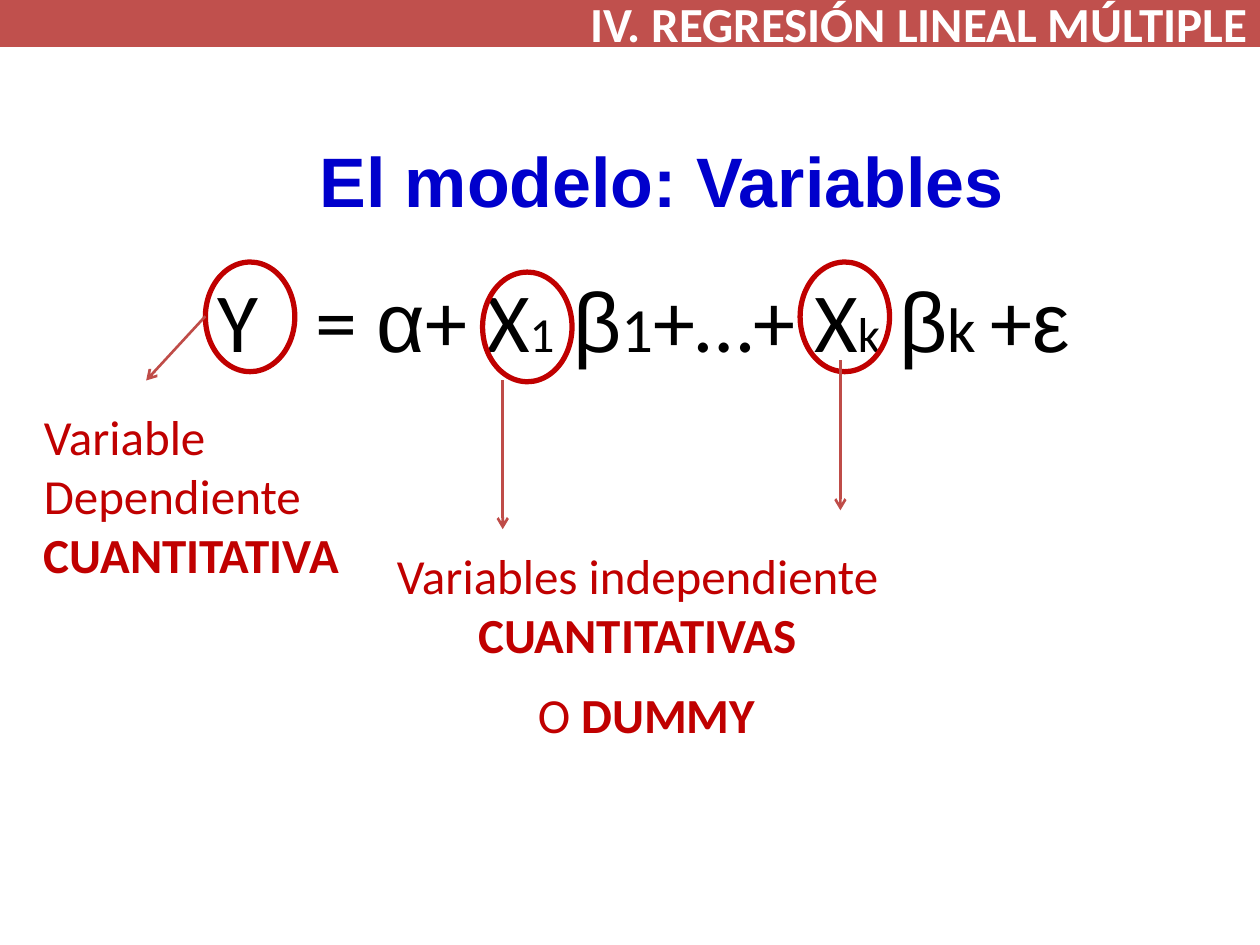
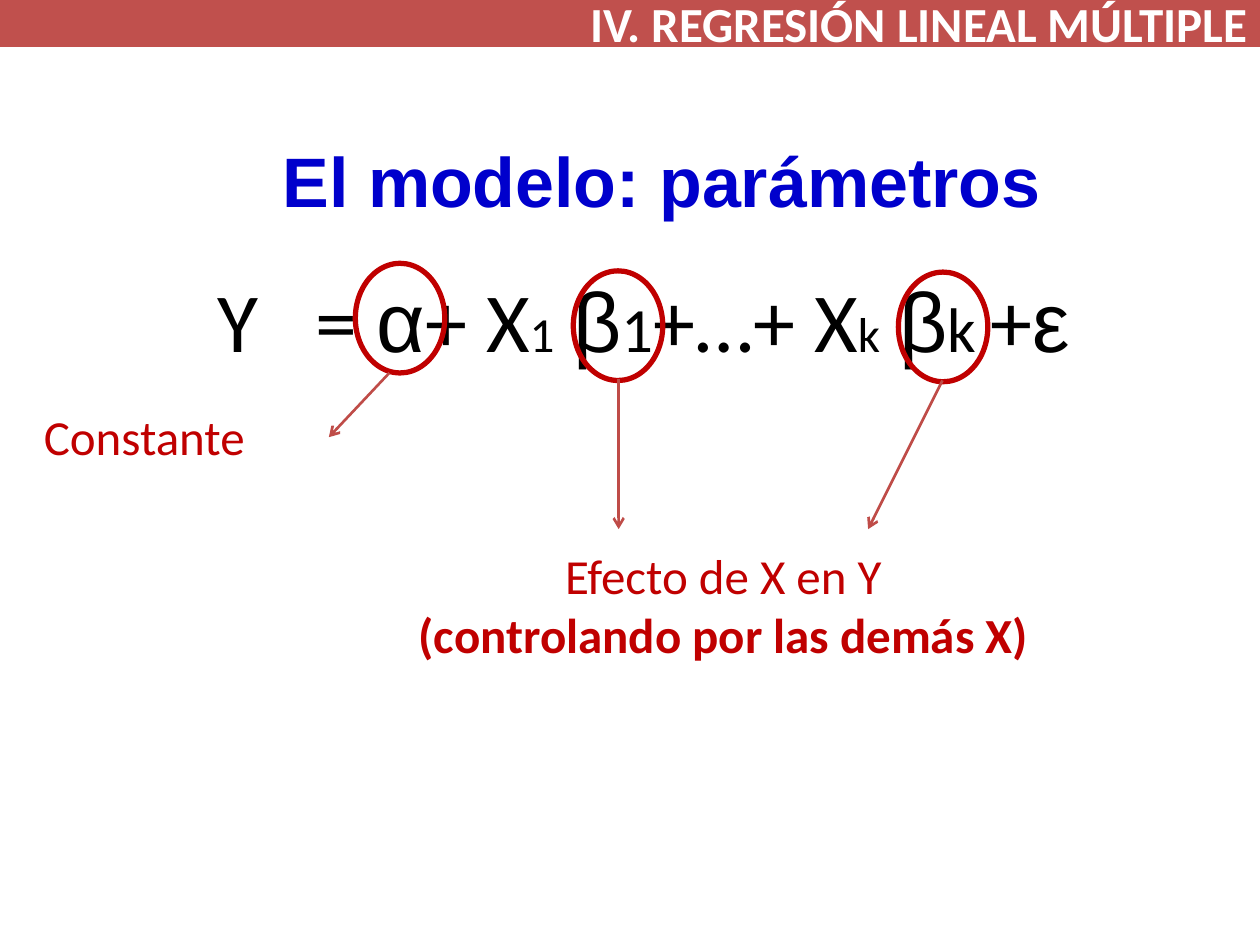
import pptx
import pptx.util
import pptx.dml.color
import pptx.enum.shapes
import pptx.enum.text
import pptx.oxml.ns
from dataclasses import dataclass
from lxml import etree

Pt = pptx.util.Pt
RGB = pptx.dml.color.RGBColor.from_string
ALIGN = pptx.enum.text.PP_ALIGN
ANCHOR = pptx.enum.text.MSO_ANCHOR
AUTO = pptx.enum.text.MSO_AUTO_SIZE
SHAPE = pptx.enum.shapes.MSO_SHAPE
STRAIGHT = pptx.enum.shapes.MSO_CONNECTOR.STRAIGHT
qn = pptx.oxml.ns.qn


@dataclass(frozen=True)
class Theme:
    band: str = "C0504D"
    arrow: str = "BF4C48"
    mark: str = "C00000"
    title: str = "0000CC"
    ink: str = "000000"
    paper: str = "FFFFFF"
    body_font: str = "Calibri"
    head_font: str = "Arial"
    title_size: int = 40
    text_size: int = 28
    equation_size: int = 48
    beta_index_size: int = 36
    x_index_size: int = 28


THEME = Theme()
WIDTH, HEIGHT = 720, 540
RING_W, RING_H = 51.12, 62.64
SECTION = "IV. REGRESIÓN LINEAL MÚLTIPLE"

# Equation runs: text and what differs from the base format
GREEK = {"name": THEME.head_font}
X_INDEX = {"size": THEME.x_index_size}
BETA_INDEX = {"size": THEME.beta_index_size}
EQUATION = [
    ("Y", {}), (" ", {"spacing": 21.7}), ("= ", {}), ("α", GREEK),
    ("+ X", {}), ("1", X_INDEX), (" ", {}), ("β", GREEK), ("1", BETA_INDEX),
    ("+…+ X", {}), ("k", X_INDEX), (" ", {}), ("β", GREEK), ("k ", BETA_INDEX),
    ("+", {}), ("ε", GREEK),
]
BOLD = {"bold": True}


class Deck:
    def __init__(self, theme):
        self.t = theme
        self.prs = pptx.Presentation()
        self.prs.slide_width, self.prs.slide_height = Pt(WIDTH), Pt(HEIGHT)
        self.s = None

    def new_slide(self):
        self.s = self.prs.slides.add_slide(self.prs.slide_layouts[6])

    def add_runs(self, tf, paragraphs, align, **base):
        """Each paragraph is a list of (text, format) runs."""
        for i, runs in enumerate(paragraphs):
            p = tf.paragraphs[0] if i == 0 else tf.add_paragraph()
            p.alignment = align
            for text, changes in runs:
                r = p.add_run()
                r.text = text
                fmt = {"name": self.t.body_font, **base, **changes}
                r.font.color.rgb = RGB(fmt.pop("color"))
                r.font.size = Pt(fmt.pop("size"))
                if "spacing" in fmt:
                    r.font._element.set("spc", str(round(fmt.pop("spacing") * 100)))
                for key, value in fmt.items():
                    setattr(r.font, key, value)

    def text(self, box, paragraphs, align, anchor=ANCHOR.TOP, grow=False, **base):
        tf = self.s.shapes.add_textbox(*map(Pt, box)).text_frame
        frame = {
            "word_wrap": True,
            "vertical_anchor": anchor,
            "auto_size": AUTO.SHAPE_TO_FIT_TEXT if grow else AUTO.NONE,
        }
        for key, value in frame.items():
            setattr(tf, key, value)
        self.add_runs(tf, paragraphs, align, **base)

    def shape(self, kind, box, line, width, fill=None):
        sp = self.s.shapes.add_shape(kind, *map(Pt, box))
        sp.shadow.inherit = False
        if fill:
            sp.fill.solid()
            sp.fill.fore_color.rgb = RGB(fill)
        else:
            sp.fill.background()
        sp.line.color.rgb = RGB(line)
        sp.line.width = Pt(width)
        return sp

    def ring(self, left, top):
        self.shape(SHAPE.OVAL, (left, top, RING_W, RING_H), self.t.mark, 3)

    def arrow(self, x1, y1, x2, y2):
        cx = self.s.shapes.add_connector(STRAIGHT, *map(Pt, (x1, y1, x2, y2)))
        cx.line.color.rgb = RGB(self.t.arrow)
        cx.line.width = Pt(1.5)
        props = cx._element.spPr
        etree.SubElement(props.find(qn("a:ln")), qn("a:tailEnd"), type="arrow")
        etree.SubElement(props, qn("a:effectLst"))

    def note(self, box, paragraphs, align=ALIGN.CENTER):
        self.text(box, paragraphs, align, grow=True,
                  size=self.t.text_size, color=self.t.mark)

    def equation(self):
        self.text((43.92, 149.76, 648, 356.4), [EQUATION], ALIGN.CENTER,
                  size=self.t.equation_size, color=self.t.ink)

    def band(self):
        sp = self.shape(SHAPE.RECTANGLE, (0, 0, WIDTH, 25.92),
                        self.t.band, 2, self.t.band)
        sp.text_frame.word_wrap = True
        sp.text_frame.vertical_anchor = ANCHOR.MIDDLE
        self.add_runs(sp.text_frame, [[(SECTION, BOLD)]], ALIGN.RIGHT,
                      size=self.t.text_size, color=self.t.paper)

    def title(self, text):
        self.text((54, 48.96, 648, 107.28), [[(text, BOLD)]], ALIGN.CENTER,
                  ANCHOR.MIDDLE, size=self.t.title_size,
                  color=self.t.title, name=self.t.head_font)

    def model_slide(self, title, rings, arrows, notes):
        self.new_slide()
        self.equation()
        for ring in rings:
            self.ring(*ring)
        for arrow in arrows:
            self.arrow(*arrow)
        for note in notes:
            self.note(*note)
        self.band()
        self.title(title)


def main():
    deck = Deck(THEME)

    # Variables of the model
    deck.model_slide(
        "El modelo: Variables",
        rings=[(117.36, 149.76), (275.76, 155.52), (457.2, 149.76)],
        arrows=[(117.36, 180.72, 83.52, 217.44),
                (287.28, 217.44, 287.28, 302.4),
                (480.24, 205.92, 480.24, 291.6)],
        notes=[
            ((18, 228.96, 203.76, 108.72),
             [[("Variable Dependiente", {})], [("CUANTITATIVA", BOLD)]], ALIGN.LEFT),
            ((180, 308.16, 368.64, 74.88),
             [[("Variables independiente ", {}), ("CUANTITATIVAS", BOLD)]]),
            ((185.04, 387.36, 368.64, 41.04), [[("O ", {}), ("DUMMY", BOLD)]]),
        ],
    )

    # Parameters of the model
    deck.model_slide(
        "El modelo: parámetros",
        rings=[(203.04, 150.48), (327.6, 154.8), (513.36, 155.52)],
        arrows=[(222.48, 213.12, 187.92, 249.84),
                (353.52, 216.72, 353.52, 302.4),
                (538.56, 217.44, 496.08, 302.4)],
        notes=[
            ((18, 228.96, 203.76, 41.04), [[("Constante", {})]], ALIGN.LEFT),
            ((228.96, 308.16, 368.64, 74.88),
             [[("Efecto de X en Y", {})], [("(controlando por las demás X)", BOLD)]]),
        ],
    )

    deck.prs.save("out.pptx")


if __name__ == "__main__":
    main()
